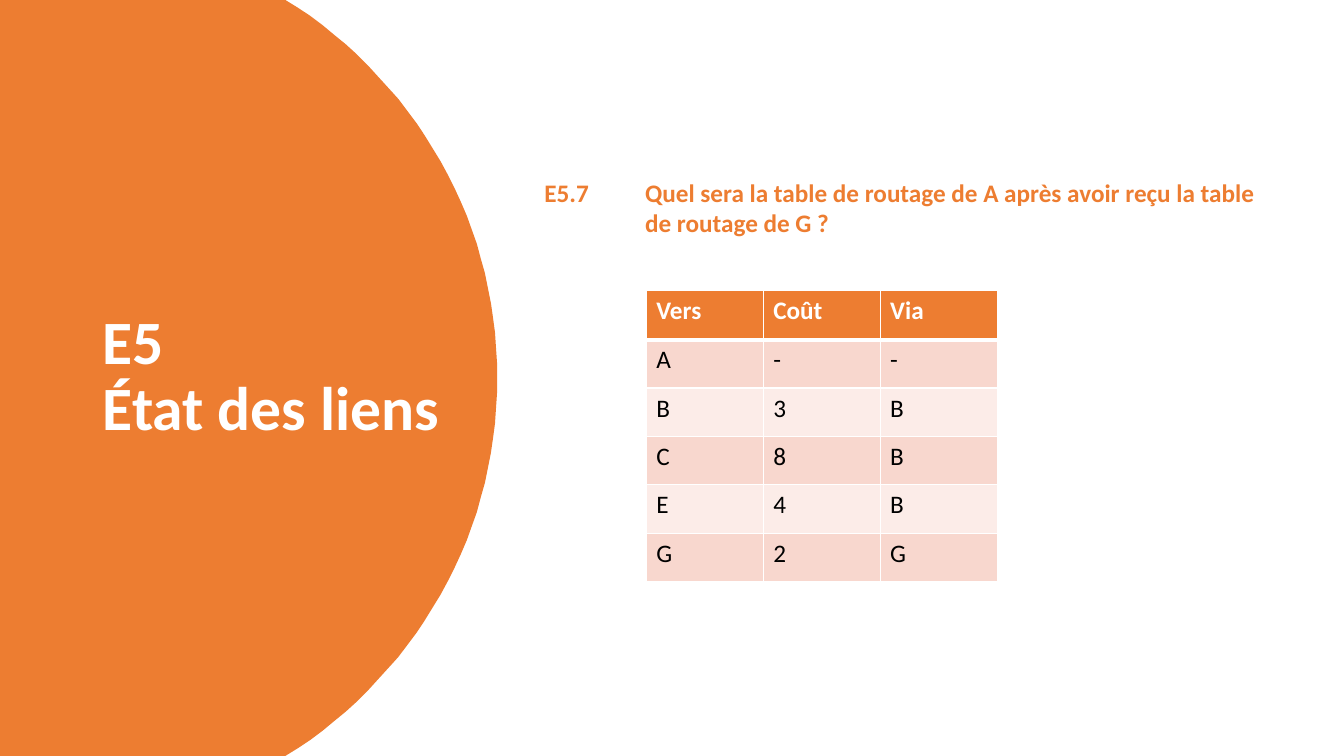
import math
import lxml.etree
import pptx
import pptx.dml.color
import pptx.enum.text
import pptx.oxml.ns
import pptx.util

RGB = pptx.dml.color.RGBColor
ORANGE = RGB(0xED, 0x7D, 0x31)
WHITE = RGB(0xFF, 0xFF, 0xFF)
BLACK = RGB(0, 0, 0)
BANDS = [RGB(0xFC, 0xEC, 0xE8), RGB(0xF8, 0xD7, 0xCE)]

# Content
TITLE = "E5\vÉtat des liens"
ASK = "E5.7 \tQuel sera la table de routage de A après avoir reçu la table de routage de G ?"
ROUTES = [
    ("Vers", "Coût", "Via"),
    ("A", "-", "-"),
    ("B", "3", "B"),
    ("C", "8", "B"),
    ("E", "4", "B"),
    ("G", "2", "G"),
]

# Layout in px, 100 to the inch
PX = 9144
WIDE, HIGH = 1333, 750
TIP, EDGE = 493, 283  # arc's rightmost x, and its x at top and bottom
COL, HEAD, ROW = 116, 49, 48
STEPS = 60


def px(*vals):
    return [pptx.util.Emu(v * PX) for v in vals]


def write(frame, text, size=18, color=ORANGE, bold=True):
    para = frame.paragraphs[0]
    para.text = text
    para.alignment = pptx.enum.text.PP_ALIGN.LEFT
    font = para.font
    font.name = "Calibri"
    font.size = pptx.util.Pt(size)
    font.bold = bold
    font.color.rgb = color
    for run in para.runs:
        run.font.name = "Calibri"
        run.font.size = font.size
        run.font.bold = bold
        run.font.color.rgb = color
    return para


def border(cell, side, width):
    props = cell._tc.get_or_add_tcPr()
    tag = pptx.oxml.ns.qn
    line = lxml.etree.SubElement(props, tag("a:ln" + side), w=str(pptx.util.Pt(width)))
    fill = lxml.etree.SubElement(line, tag("a:solidFill"))
    lxml.etree.SubElement(fill, tag("a:srgbClr"), val=str(WHITE))


def main():
    deck = pptx.Presentation()
    deck.slide_width, deck.slide_height = px(WIDE, HIGH)
    slide = deck.slides.add_slide(deck.slide_layouts[5])
    shapes = slide.shapes

    # Round orange panel
    half, rise = HIGH / 2, TIP - EDGE
    radius = (half ** 2 + rise ** 2) / (2 * rise)
    reach = math.asin(half / radius)
    turns = [reach * (2 * i / STEPS - 1) for i in range(STEPS + 1)]
    arc = [(TIP - radius + radius * math.cos(t), half + radius * math.sin(t))
           for t in turns]
    pen = shapes.build_freeform(0, 0, scale=PX)
    pen.add_line_segments(arc + [(0, HIGH)], close=True)
    panel = pen.convert_to_shape()
    panel.shadow.inherit = False
    panel.fill.solid()
    panel.fill.fore_color.rgb = ORANGE
    panel.line.fill.background()

    # Title, in front of the panel
    title = shapes.title
    panel._element.addnext(title._element)
    title.left, title.top, title.width, title.height = px(92, 70, 360, 609)
    frame = title.text_frame
    frame.word_wrap = True
    frame.auto_size = pptx.enum.text.MSO_AUTO_SIZE.NONE
    frame.vertical_anchor = pptx.enum.text.MSO_ANCHOR.MIDDLE
    write(frame, TITLE, size=44, color=WHITE).line_spacing = 0.9

    # Question with a hanging indent
    box = shapes.add_textbox(*px(530, 171, 729, 71))
    box.text_frame.word_wrap = True
    props = write(box.text_frame, ASK)._p.get_or_add_pPr()
    props.set("marL", str(100 * PX))
    props.set("indent", str(-100 * PX))

    # Routing table
    rows, cols = len(ROUTES), len(ROUTES[0])
    size = COL * cols, HEAD + ROW * (rows - 1)
    table = shapes.add_table(rows, cols, *px(641, 288, *size)).table
    for col in table.columns:
        col.width = px(COL)[0]
    for r, route in enumerate(ROUTES):
        table.rows[r].height = px(ROW if r else HEAD)[0]
        for c, text in enumerate(route):
            cell = table.cell(r, c)
            for side in "LRTB":
                thick = (r, side) in [(0, "B"), (1, "T")]
                border(cell, side, 3 if thick else 1)
            cell.fill.solid()
            cell.fill.fore_color.rgb = BANDS[r % 2] if r else ORANGE
            write(cell.text_frame, text, color=BLACK if r else WHITE, bold=r == 0)

    deck.save("out.pptx")


if __name__ == "__main__":
    main()
